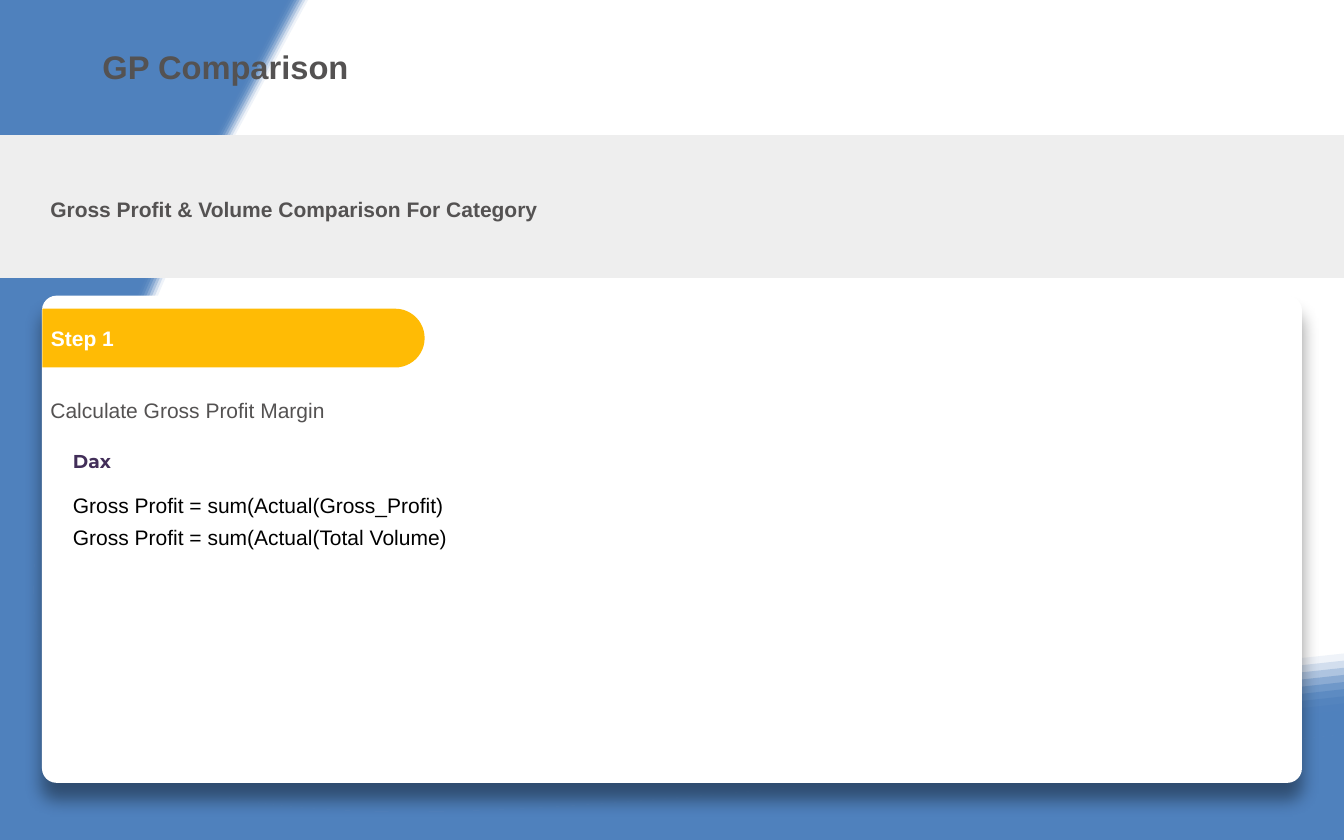
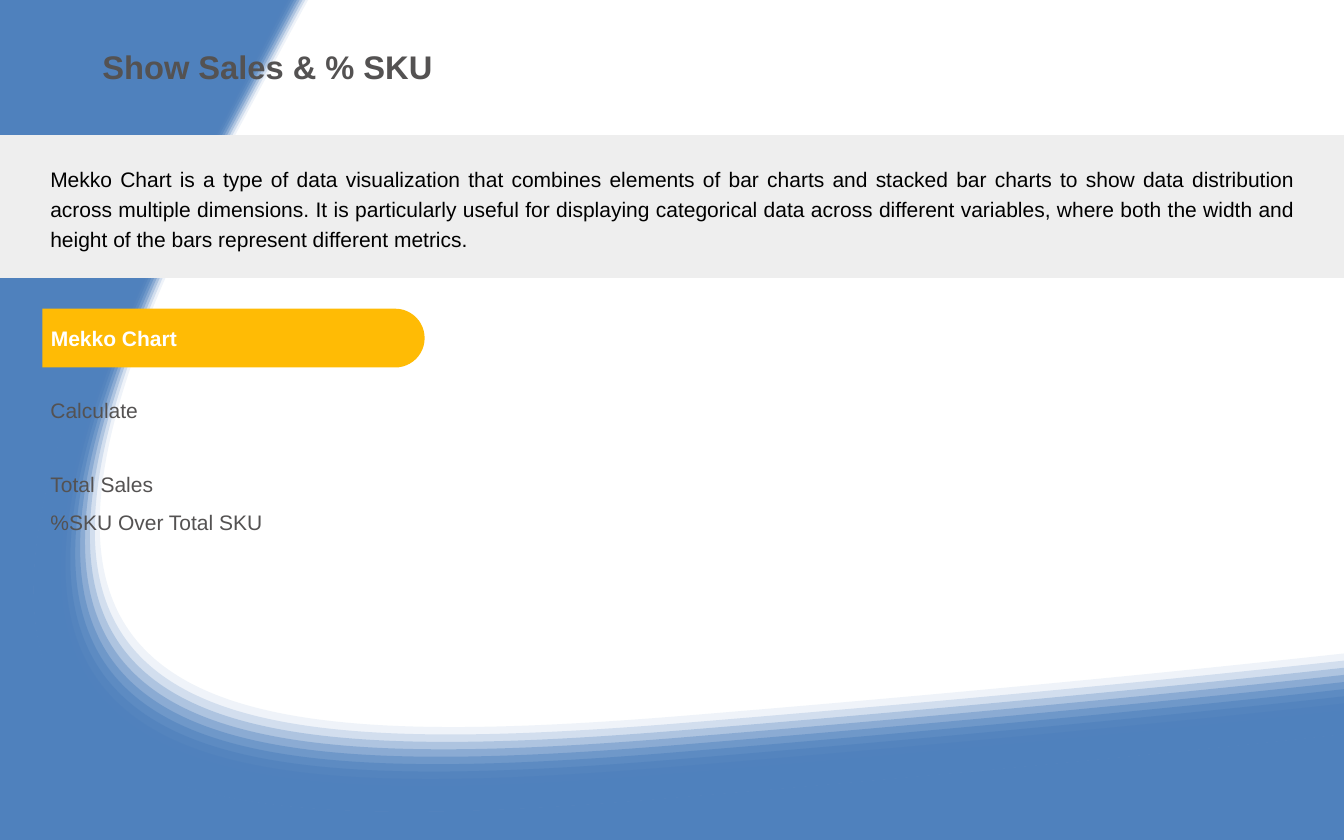
"""Build two report pages that share a blue swoosh, a title, a grey band and a yellow tab."""
from lxml import etree
from pptx import Presentation, util as u
from pptx.dml.color import RGBColor
from pptx.enum import shapes, text
from pptx.oxml.ns import qn

COLORS = {
    "blue": "4F81BD", "grey": "EEEEEE", "yellow": "FFBB05", "white": "FFFFFF",
    "text": "545252", "black": "000000", "purple": "422E59",
}
WIDTH, HEIGHT, MARGIN = 16, 10, 0.5
RIBBONS = 11
OUTER = [(16, 8.74), (16, 8.74), (12.9, 9.09), (7.86, 9.51), (1.28, 10.06),
         (-1.94, 9.49), (2.35, 1.54), (2.88, 0.55), (3.18, 0), (3.18, 0)]
INNER_FIRST = [(16, 7.78), (15.97, 7.78), (13.03, 8.12), (8.28, 8.51), (1.93, 9.04),
               (-0.88, 8.43), (2.88, 1.46), (3.38, 0.53), (3.66, 0.01), (3.67, 0)]
INNER_LAST = [(16, 8.63), (15.58, 8.68), (12.57, 9.01), (7.97, 9.39), (1.47, 9.93),
              (-1.71, 9.37), (2.53, 1.52), (2.97, 0.69), (3.25, 0.15), (3.33, 0)]


def color(name):
    """Return the named colour."""
    return RGBColor.from_string(COLORS[name])


def place(shape, left, top, width, height):
    """Move and size a shape in inches."""
    shape.left, shape.top = u.Inches(left), u.Inches(top)
    shape.width, shape.height = u.Inches(width), u.Inches(height)


def paint(shape, fill, opacity=1):
    """Give a shape a plain fill without line or shadow."""
    shape.shadow.inherit = False
    shape.fill.solid()
    shape.fill.fore_color.rgb = color(fill)
    shape.line.fill.background()
    if opacity < 1:
        tint = shape.element.spPr.find(".//" + qn("a:srgbClr"))
        etree.SubElement(tint, qn("a:alpha"), val=str(round(opacity * 100000)))


def blend(first, last, share):
    """Interpolate between two point lists."""
    return [tuple(a + (b - a) * share for a, b in zip(start, end))
            for start, end in zip(first, last)]


def bend(outline):
    """Turn each edge of ten points into three cubic curves, measured on the whole page."""
    route = outline.element.spPr.find(".//" + qn("a:path"))
    for point in route.iter(qn("a:pt")):
        point.set("x", str(int(point.get("x")) + outline.left))
        point.set("y", str(int(point.get("y")) + outline.top))
    place(outline, 0, 0, WIDTH, HEIGHT)
    route.set("w", str(outline.width))
    route.set("h", str(outline.height))
    lines = route.findall(qn("a:lnTo"))
    for first in (0, 3, 6, 10, 13, 16):
        if first + 3 <= len(lines):
            for line in lines[first + 1:first + 3]:
                lines[first].append(line[0])
                route.remove(line)
            lines[first].tag = qn("a:cubicBezTo")


def add_outline(page, points, opacity=1):
    """Draw a closed blue outline with curved edges."""
    corners = [(u.Inches(x), u.Inches(y)) for x, y in points]
    builder = page.shapes.build_freeform(*corners[0], scale=1.0)
    builder.add_line_segments(corners[1:], close=True)
    outline = builder.convert_to_shape()
    bend(outline)
    paint(outline, "blue", opacity)
    return outline


def add_swoosh(page, layout):
    """Put the blue corner and its fading ribbons on the layout."""
    outlines = [add_outline(page, OUTER + [(0, 0), (0, HEIGHT), (WIDTH, HEIGHT)])]
    for step in range(RIBBONS):
        inner = blend(INNER_FIRST, INNER_LAST, step / (RIBBONS - 1))
        outlines.append(add_outline(page, inner + OUTER[::-1], (step + 1) / RIBBONS))
    for number, outline in enumerate(outlines, 100):
        outline.element.nvSpPr.cNvPr.id = number
        layout.shapes.element.append(outline.element)


def write(box, lines, size=18, ink="text", bold=False, font="Arial", spacing=1.2,
          after=6, align=text.PP_ALIGN.JUSTIFY, anchor=text.MSO_ANCHOR.MIDDLE):
    """Write one paragraph for each line."""
    frame = box.text_frame
    frame.word_wrap = True
    frame.auto_size = text.MSO_AUTO_SIZE.NONE
    frame.vertical_anchor = anchor
    for number, line in enumerate(lines):
        para = frame.add_paragraph() if number else frame.paragraphs[0]
        para.alignment, para.line_spacing = align, spacing
        para.space_before, para.space_after = u.Pt(0), u.Pt(after)
        span = para.add_run()
        span.text = line
        span.font.name, span.font.size, span.font.bold = font, u.Pt(size), bold
        span.font.color.rgb = color(ink)


def add_text(parent, area, line, **style):
    """Add a text box with one paragraph."""
    box = parent.shapes.add_textbox(0, 0, 0, 0)
    place(box, *area)
    write(box, [line], **style)


def add_panel(parent, area, fill, radius=0):
    """Add a rectangle with the given corner radius share."""
    panel = parent.shapes.add_shape(shapes.MSO_SHAPE.ROUNDED_RECTANGLE, 0, 0, 0, 0)
    place(panel, *area)
    panel.adjustments[0] = radius
    paint(panel, fill)
    return panel


def add_band(page, area, line, **style):
    """Add the grey band and its text as a group."""
    group = page.shapes.add_group_shape()
    add_panel(group, (0, 1.61, WIDTH, 1.7), "grey")
    add_text(group, area, line, **style)


def add_card(page):
    """Add the white card with its soft shadow."""
    card = add_panel(page, (MARGIN, 3.52, WIDTH - 2 * MARGIN, 5.8), "white", 0.03)
    effects = card.element.spPr.find(qn("a:effectLst"))
    shadow = etree.SubElement(effects, qn("a:outerShdw"), blurRad=str(u.Pt(14)),
                              dist=str(u.Pt(15)), dir="5400000", rotWithShape="0")
    tint = etree.SubElement(shadow, qn("a:srgbClr"), val=COLORS["black"])
    etree.SubElement(tint, qn("a:alpha"), val="40000")


def add_tab(page, label):
    """Add the yellow tab with its rounded right end."""
    tab = page.shapes.add_shape(shapes.MSO_SHAPE.ROUND_2_SAME_RECTANGLE, 0, 0, 0, 0)
    place(tab, 2.43, 1.75, 0.7, 4.55)
    tab.rotation = 90
    tab.adjustments[0], tab.adjustments[1] = 0.5, 0
    paint(tab, "yellow")
    frame = tab.text_frame
    frame.margin_left = frame.margin_right = u.Inches(0.1)
    frame.margin_top = frame.margin_bottom = u.Inches(0.1)
    tab.element.txBody.bodyPr.set("vert", "vert270")
    write(tab, [label], ink="white", bold=True, spacing=1, after=0,
          align=text.PP_ALIGN.LEFT)


def fill_title(page, title):
    """Fill the title placeholder."""
    place(page.shapes.title, 1.12, 0, 12.94, 1.5)
    write(page.shapes.title, [title], size=28, bold=True)


def fill_body(page, height, lines):
    """Fill the body placeholder without bullets, in front of the panels."""
    body = page.placeholders[1]
    place(body, MARGIN, 4.62, 6.96, height)
    write(body, lines, anchor=text.MSO_ANCHOR.TOP)
    for properties in body.element.txBody.findall(".//" + qn("a:pPr")):
        properties.set("marL", "0")
        properties.set("indent", "0")
        etree.SubElement(properties, qn("a:buNone"))
    page.shapes.element.append(body.element)
    return body


def build_comparison(page):
    """Build the gross profit page."""
    fill_title(page, "GP Comparison")
    add_band(page, (MARGIN, 2.23, 15.01, 0.46),
             "Gross Profit & Volume Comparison For Category", bold=True)
    add_card(page)
    add_tab(page, "Step 1")
    fill_body(page, 0.46, ["Calculate Gross Profit Margin"])
    left = text.PP_ALIGN.LEFT
    add_text(page, (0.77, 5.27, 1.75, 0.4), "Dax", size=16, ink="purple", bold=True,
             font="Montserrat", spacing=1.1, after=0, align=left)
    for row, field in enumerate(("Gross_Profit", "Total Volume")):
        add_text(page, (0.77, 5.82 + 0.37 * row, 4.73, 0.4),
                 f"Gross Profit = sum(Actual({field})", ink="black", spacing=1, after=0,
                 align=left, anchor=text.MSO_ANCHOR.TOP)


def build_sales(page):
    """Build the sales and SKU page."""
    fill_title(page, "Show Sales & % SKU")
    add_band(page, (MARGIN, 1.87, 15.01, 1.18),
             "Mekko Chart is a type of data visualization that combines elements of bar "
             "charts and stacked bar charts to show data distribution across multiple "
             "dimensions. It is particularly useful for displaying categorical data across "
             "different variables, where both the width and height of the bars represent "
             "different metrics.", ink="black")
    add_tab(page, "Mekko Chart")
    body = fill_body(page, 1.79, ["Calculate", "Total Sales", "%SKU Over Total SKU"])
    body.text_frame.paragraphs[0].space_after = u.Pt(38)


def main():
    """Build and save the deck."""
    deck = Presentation()
    deck.slide_width, deck.slide_height = u.Inches(WIDTH), u.Inches(HEIGHT)
    layout = deck.slide_layouts[1]
    pages = [deck.slides.add_slide(layout) for _ in range(2)]
    add_swoosh(pages[0], layout)
    build_comparison(pages[0])
    build_sales(pages[1])
    deck.save("out.pptx")


if __name__ == "__main__":
    main()
